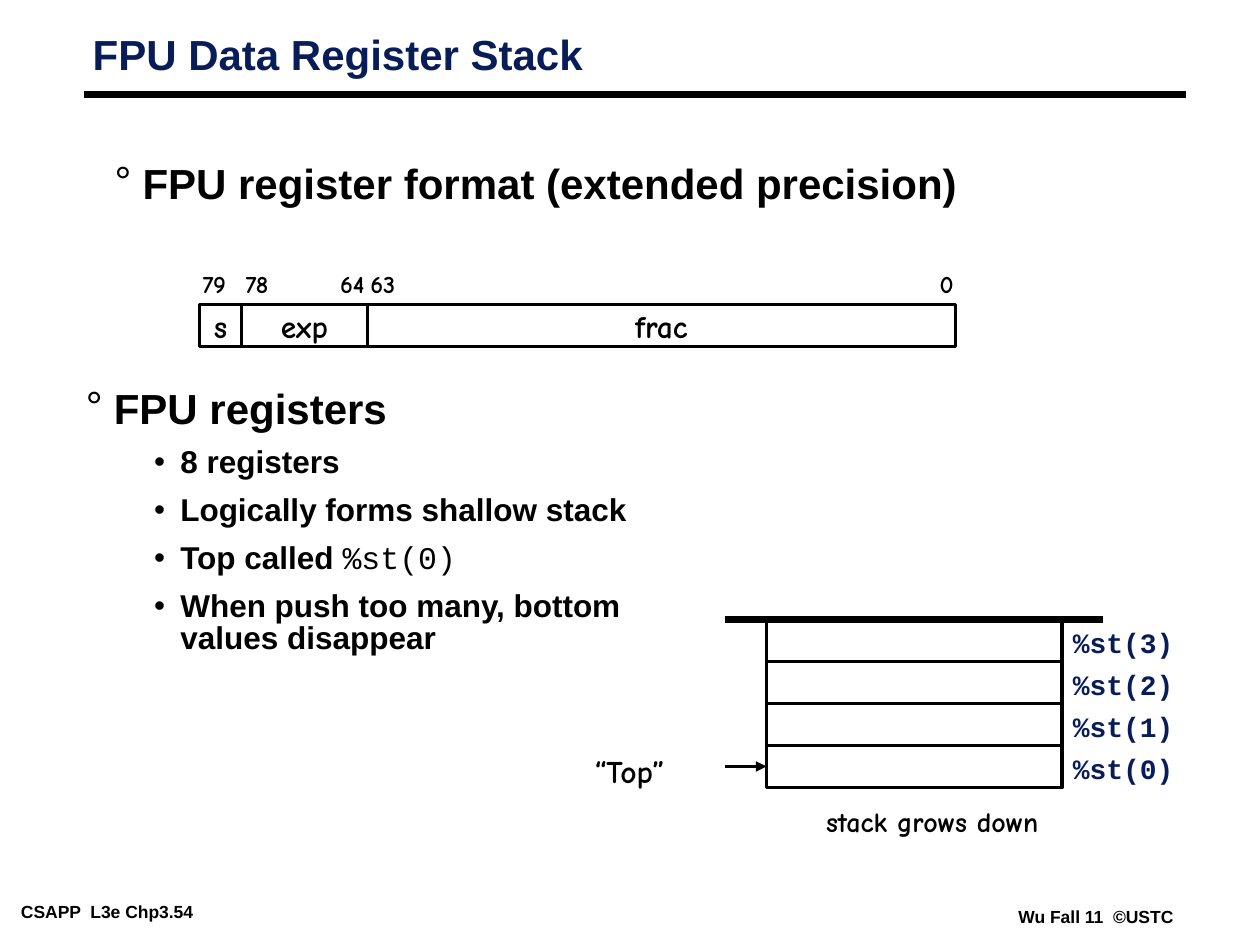
from dataclasses import dataclass

from pptx import Presentation
from pptx import util as u
from pptx.dml import color
from pptx.enum import shapes, text
from pptx.oxml import ns
from lxml import etree

Pt = u.Pt


@dataclass(frozen=True)
class Theme:
    black: str = "000000"
    white: str = "FFFFFF"
    navy: str = "081D58"
    sans: str = "Arial"
    hand: str = "Comic Neue"
    code: str = "Courier New"
    heading: int = 24
    item: int = 18
    label: int = 16
    bit: int = 14
    footer: int = 10
    thin: float = 2
    thick: float = 4.5


class SlideBuilder:
    """Holds the style and the current slide."""

    TIGHT = (5, 2.4)
    NORMAL = (7.2, 3.6)

    def __init__(self, theme, slide):
        self.theme = theme
        self.slide = slide

    def add_run(self, paragraph, words, size, font, colour=None, bold=True):
        run = paragraph.add_run()
        run.text = words
        run.font.size = Pt(size)
        run.font.name = font
        run.font.bold = bold
        run.font.color.rgb = color.RGBColor.from_string(colour or self.theme.black)

    def set_frame(self, frame, insets, wrap=True, grow=False, anchor="TOP"):
        frame.margin_left = frame.margin_right = Pt(insets[0])
        frame.margin_top = frame.margin_bottom = Pt(insets[1])
        frame.word_wrap = wrap
        fit = text.MSO_AUTO_SIZE
        frame.auto_size = fit.SHAPE_TO_FIT_TEXT if grow else fit.NONE
        frame.vertical_anchor = text.MSO_ANCHOR[anchor]

    def place(self, shape, left, top, width, height):
        shape.left, shape.top = Pt(left), Pt(top)
        shape.width, shape.height = Pt(width), Pt(height)

    def title(self, words, *box):
        shape = self.slide.shapes.title
        self.place(shape, *box)
        self.set_frame(shape.text_frame, self.TIGHT)
        paragraph = shape.text_frame.paragraphs[0]
        paragraph.alignment = text.PP_ALIGN.LEFT
        paragraph.line_spacing = 0.87
        self.add_run(paragraph, words, self.theme.heading, self.theme.sans, self.theme.navy)

    def bullet(self, paragraph, mark, margin, hanging):
        properties = paragraph._p.get_or_add_pPr()
        properties.set("marL", str(Pt(margin)))
        properties.set("indent", str(-Pt(hanging)))
        bullet_colour = etree.SubElement(properties, ns.qn("a:buClr"))
        etree.SubElement(bullet_colour, ns.qn("a:srgbClr"), val=self.theme.black)
        etree.SubElement(properties, ns.qn("a:buSzPct"), val="100000")
        etree.SubElement(properties, ns.qn("a:buFont"), typeface=self.theme.sans)
        etree.SubElement(properties, ns.qn("a:buChar"), char=mark)

    def bullet_list(self, frame, heading, items=()):
        """Fill a frame with a heading and its items, each a list of (words, is_code)."""
        theme = self.theme
        paragraph = frame.paragraphs[0]
        self.bullet(paragraph, "°", 16, 16)
        paragraph.line_spacing = 0.75
        paragraph.space_before = Pt(0)
        self.add_run(paragraph, heading, theme.heading, theme.sans)
        for runs in items:
            paragraph = frame.add_paragraph()
            paragraph.level = 1
            self.bullet(paragraph, "•", 54, 15)
            paragraph.line_spacing = 0.85
            paragraph.space_before = Pt(9)
            for words, is_code in runs:
                font = theme.code if is_code else theme.sans
                self.add_run(paragraph, words, theme.item, font, bold=not is_code)

    def body(self, heading, *box):
        shape = self.slide.placeholders[1]
        self.place(shape, *box)
        self.set_frame(shape.text_frame, self.TIGHT)
        self.bullet_list(shape.text_frame, heading)

    def list_box(self, heading, items, *box):
        shape = self.slide.shapes.add_textbox(*map(Pt, box))
        self.set_frame(shape.text_frame, self.NORMAL)
        self.bullet_list(shape.text_frame, heading, items)

    def label(self, words, box, size, font, colour=None, insets=NORMAL, centred=False):
        shape = self.slide.shapes.add_textbox(*map(Pt, box))
        self.set_frame(shape.text_frame, insets, wrap=centred, grow=True)
        paragraph = shape.text_frame.paragraphs[0]
        if centred:
            paragraph.alignment = text.PP_ALIGN.CENTER
        self.add_run(paragraph, words, size, font, colour)

    def cell(self, left, top, width, height, words=""):
        box = map(Pt, (left, top, width, height))
        shape = self.slide.shapes.add_shape(shapes.MSO_SHAPE.RECTANGLE, *box)
        shape.shadow.inherit = False
        shape.fill.solid()
        shape.fill.fore_color.rgb = color.RGBColor.from_string(self.theme.white)
        shape.line.color.rgb = color.RGBColor.from_string(self.theme.black)
        shape.line.width = Pt(self.theme.thin)
        if words:
            self.set_frame(shape.text_frame, self.NORMAL, wrap=False, anchor="MIDDLE")
            paragraph = shape.text_frame.paragraphs[0]
            paragraph.alignment = text.PP_ALIGN.CENTER
            self.add_run(paragraph, words, self.theme.item, self.theme.hand)

    def rule(self, left, right, y, weight, arrow=False):
        ends = map(Pt, (left, y, right, y))
        line = self.slide.shapes.add_connector(shapes.MSO_CONNECTOR.STRAIGHT, *ends)
        line.line.color.rgb = color.RGBColor.from_string(self.theme.black)
        line.line.width = Pt(weight)
        if arrow:
            outline = line.line._get_or_add_ln()
            etree.SubElement(outline, ns.qn("a:tailEnd"), type="triangle")
        etree.SubElement(line._element.spPr, ns.qn("a:effectLst"))


def main():
    presentation = Presentation()
    presentation.slide_width, presentation.slide_height = Pt(720), Pt(540)
    slide = presentation.slides.add_slide(presentation.slide_layouts[1])
    theme = Theme()
    builder = SlideBuilder(theme, slide)

    # Footer, title and title rule
    for words, box in (("CSAPP  L3e Chp3.54", (7, 512.5, 145.4, 16)),
                       ("Wu Fall 11  ©USTC", (577, 515.5, 99.4, 16))):
        builder.label(words, box, theme.footer, theme.sans, insets=builder.TIGHT)
    builder.rule(48, 678, 54, theme.thick)
    builder.title("FPU Data Register Stack", 48, 18, 527, 45)
    builder.body("FPU register format (extended precision)", 60.5, 94.5, 584, 26)

    # Register format: fields from left to right, then bit numbers
    unit = 24
    left, top = 114, 174
    for words, width in (("s", unit), ("exp", 3 * unit), ("frac", 14 * unit)):
        builder.cell(left, top, width, unit, words)
        left += width
    for words, x in (("79", 108.7), ("78", 133.2), ("64", 187.2), ("63", 204.5), ("0", 529.9)):
        builder.label(words, (x, 150, 32, unit), theme.bit, theme.hand)

    # Facts about the registers
    builder.list_box("FPU registers", [
        [("8 registers", False)],
        [("Logically forms shallow stack", False)],
        [("Top called ", False), ("%st(0)", True)],
        [("When push too many, bottom values disappear", False)],
    ], 42, 222, 324, 282)

    # Register stack, with the top of the stack at the bottom
    stack_left, stack_top, depth = 438, 354, 4
    for row in range(depth):
        y = stack_top + row * unit
        builder.cell(stack_left, y, 169, unit)
        builder.label(f"%st({depth - 1 - row})", (606, y, 72, 26.6),
                      theme.label, theme.code, theme.navy)
    builder.rule(414, 630, stack_top, theme.thick)
    builder.rule(414, stack_left, stack_top + 3.5 * unit, theme.thin, arrow=True)
    builder.label("“Top” ", (324, stack_top + 3 * unit, 78, 29),
                  theme.item, theme.hand, centred=True)
    builder.label("stack grows down", (465, 456, 136, 26.6), theme.label, theme.hand)

    presentation.save("out.pptx")


if __name__ == "__main__":
    main()
